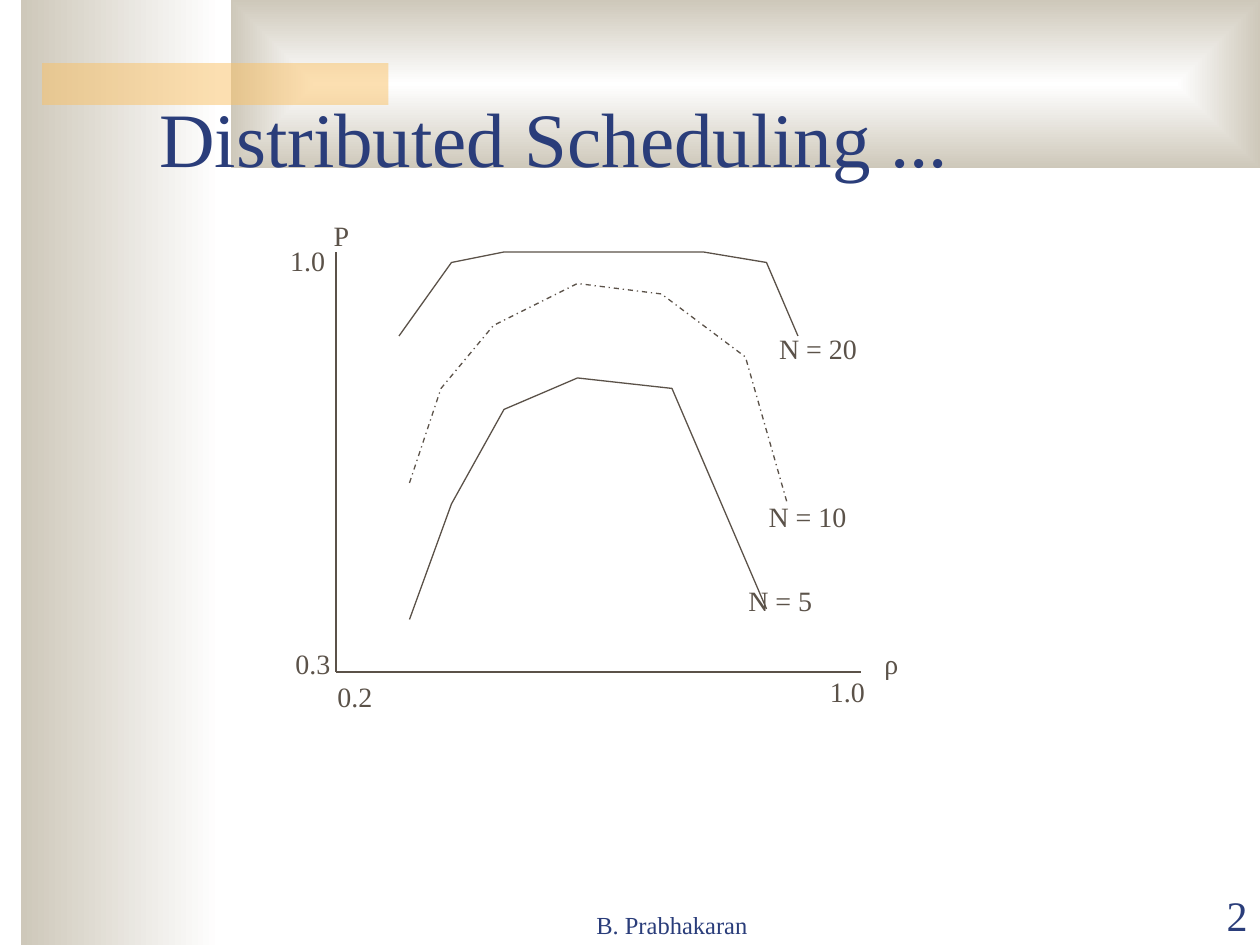
from lxml import etree
from pptx import Presentation
from pptx.dml.color import RGBColor
from pptx.enum.dml import MSO_LINE
from pptx.enum.shapes import MSO_CONNECTOR, MSO_SHAPE
from pptx.enum.text import MSO_ANCHOR, MSO_AUTO_SIZE, PP_ALIGN
from pptx.oxml.ns import qn
from pptx.util import Inches, Pt

LEFT, CENTER, RIGHT = PP_ALIGN.LEFT, PP_ALIGN.CENTER, PP_ALIGN.RIGHT
BOTTOM, MIDDLE = MSO_ANCHOR.BOTTOM, MSO_ANCHOR.MIDDLE
SOLID, DASH = None, MSO_LINE.DASH_DOT
RECT, STRAIGHT = MSO_SHAPE.RECTANGLE, MSO_CONNECTOR.STRAIGHT
FIT = MSO_AUTO_SIZE.SHAPE_TO_FIT_TEXT

FONT = "Times New Roman"
NAVY, BROWN, SAND, GOLD, WHITE = "2A3D7A", "5B5249", "CEC8BA", "FAC164", "FFFFFF"

# The slide is a grid of 120 columns by 90 rows
COLS, ROWS = 120, 90
CELL = Inches(10) // COLS

# Curves in cells from the top left of the plot
CURVES = [
    (SOLID, [(7, 35), (11, 24), (16, 15), (23, 12), (32, 13), (41, 34)]),
    (DASH, [(7, 22), (10, 13), (15, 7), (23, 3), (31, 4), (39, 10), (43, 24)]),
    (SOLID, [(6, 8), (11, 1), (16, 0), (35, 0), (41, 1), (44, 8)]),
]

# Label text, centre column, centre row and width in the plot
LABELS = [
    ("P", 0.5, -1.6, 4),
    ("ρ", 52.9, 39.2, 4),
    ("N = 5", 42.3, 33.2, 8.8),
    ("N = 10", 44.9, 25.2, 10),
    ("N = 20", 45.9, 9.2, 10),
    ("0.3", -2.2, 39.2, 6),
    ("0.2", 1.8, 42.3, 6),
    ("1.0", -2.7, 0.8, 6),
    ("1.0", 48.7, 41.8, 6),
]


def color(code):
    return RGBColor.from_string(code)


def cells(*box):
    return [round(n * CELL) for n in box]


def add_rect(slide, box):
    shape = slide.shapes.add_shape(RECT, *cells(*box))
    shape.shadow.inherit = False
    shape.line.fill.background()
    return shape


def add_fade(slide, box):
    """Fade from white on the right to sand on the left."""
    shape = add_rect(slide, box)
    shape.fill.gradient()
    shape.fill.gradient_angle = 180
    for stop, code in zip(shape.fill.gradient_stops, (WHITE, SAND)):
        stop.color.rgb = color(code)
    return shape


def add_text(slide, box, text, size, code, align, anchor, wrap=True):
    shape = slide.shapes.add_textbox(*cells(*box))
    frame = shape.text_frame
    frame.word_wrap = wrap
    frame.vertical_anchor = anchor
    if not wrap:
        frame.auto_size = FIT
    para = frame.paragraphs[0]
    para.text = text
    para.alignment = align
    para.font.name, para.font.size = FONT, Pt(size)
    para.font.color.rgb = color(code)


def draw_back(slide, box):
    x, y, w, h = box
    add_fade(slide, (x + 2, y, 19, h))

    # Top band fades out from its centre
    top = add_fade(slide, (x + 22, y, w - 22, 16))
    lin = next(top.element.iter(qn("a:lin")))
    grad = lin.getparent()
    grad.remove(lin)
    ring = etree.SubElement(grad, qn("a:path"), path="rect")
    etree.SubElement(ring, qn("a:fillToRect"), l="50000", t="50000", r="50000", b="50000")

    # Half clear accent bar
    bar = add_rect(slide, (x + 4, y + 6, 33, 4))
    bar.fill.solid()
    bar.fill.fore_color.rgb = color(GOLD)
    tint = next(bar.element.spPr.iter(qn("a:srgbClr")))
    etree.SubElement(tint, qn("a:alpha"), val="50000")


def style_line(line, dash=SOLID):
    line.color.rgb = color(BROWN)
    line.width = Pt(0.75)
    line.dash_style = dash


def draw_plot(slide, box):
    x, y, w, h = box

    # Axes from the bottom left corner
    for end in ((x + w, y + h), (x, y)):
        axis = slide.shapes.add_connector(STRAIGHT, *cells(x, y + h, *end))
        style_line(axis.line)
        etree.SubElement(axis.element.spPr, qn("a:effectLst"))

    # Curves
    for dash, points in CURVES:
        pen = slide.shapes.build_freeform(*points[0], scale=float(CELL))
        pen.add_line_segments(points[1:], close=False)
        curve = pen.convert_to_shape(*cells(x, y))
        curve.fill.background()
        curve.shadow.inherit = False
        style_line(curve.line, dash)

    # Labels
    tall = 4.4
    for text, col, row, wide in LABELS:
        spot = (x + col - wide / 2, y + row - tall / 2, wide, tall)
        add_text(slide, spot, text, 16, BROWN, CENTER, MIDDLE, wrap=False)


def draw_foot(slide, box):
    x, y, w, h = box
    add_text(slide, (x + 45, y, 38, h), "B. Prabhakaran", 14, NAVY, CENTER, BOTTOM)
    add_text(slide, (x + w - 12, y, 12, h), "2", 24, NAVY, RIGHT, BOTTOM)


def main():
    deck = Presentation()
    deck.slide_width, deck.slide_height = cells(COLS, ROWS)
    slide = deck.slides.add_slide(deck.slide_layouts[6])
    draw_back(slide, (0, 0, COLS, ROWS))
    add_text(slide, (14, 3, 102, 15), "Distributed Scheduling ...", 44, NAVY, LEFT, BOTTOM)
    draw_plot(slide, (32, 24, 50, 40))
    draw_foot(slide, (0, 84.1, COLS, 6))
    deck.save("out.pptx")


if __name__ == "__main__":
    main()
